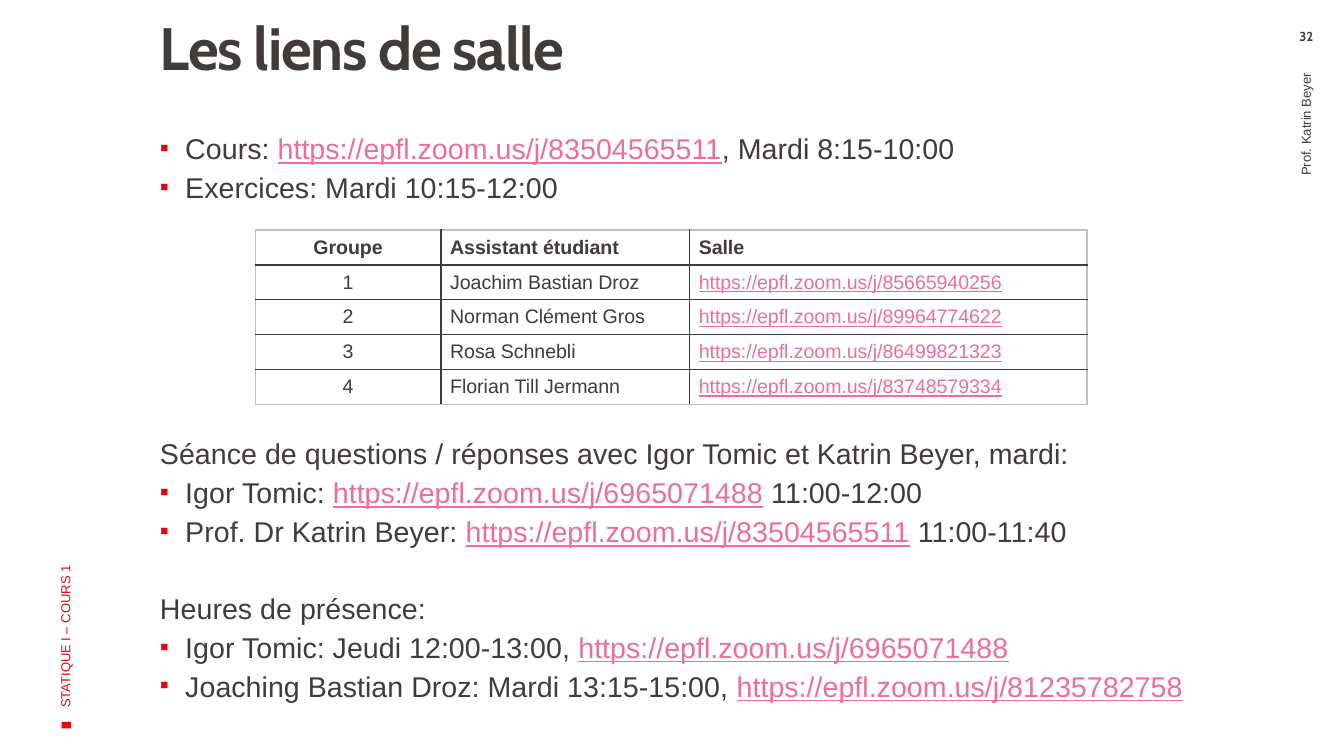
from dataclasses import dataclass

from lxml import etree
from pptx import Presentation, util as u
from pptx.dml.color import RGBColor
from pptx.enum import shapes, text
from pptx.oxml.ns import qn


@dataclass(frozen=True)
class Theme:
    ink: str = "413C3A"
    red: str = "E30613"
    link: str = "ED6E9C"
    rim: str = "BFBFBF"
    sans: str = "Arial"
    head: str = "Cabin"
    title: float = 32
    body: float = 15.3
    cell: float = 10.5
    note: float = 7


T = Theme()
WIDE, HIGH = 100, 56.25  # grid columns and rows
UNIT = u.Inches(10) // WIDE
PITCH, GAP = 20.3, 8  # body line pitch and space before, in points

ITEMS = [  # bulleted, blank lines above, runs
    (True, 0, ["Cours: ", "https://epfl.zoom.us/j/83504565511", ", Mardi 8:15-10:00"]),
    (True, 0, ["Exercices: Mardi 10:15-12:00"]),
    (False, 6, ["Séance de questions / réponses avec Igor Tomic et Katrin Beyer, mardi:"]),
    (True, 0, ["Igor Tomic: ", "https://epfl.zoom.us/j/6965071488", " 11:00-12:00"]),
    (True, 0, ["Prof. Dr Katrin Beyer: ", "https://epfl.zoom.us/j/83504565511", " 11:00-11:40"]),
    (False, 1, ["Heures de présence:"]),
    (True, 0, ["Igor Tomic: Jeudi 12:00-13:00, ", "https://epfl.zoom.us/j/6965071488"]),
    (True, 0, ["Joaching Bastian Droz: Mardi 13:15-15:00, ", "https://epfl.zoom.us/j/81235782758"]),
]

ROWS = [
    ("Groupe", "Assistant étudiant", "Salle"),
    ("1", "Joachim Bastian Droz", "https://epfl.zoom.us/j/85665940256"),
    ("2", "Norman Clément Gros", "https://epfl.zoom.us/j/89964774622"),
    ("3", "Rosa Schnebli", "https://epfl.zoom.us/j/86499821323"),
    ("4", "Florian Till Jermann", "https://epfl.zoom.us/j/83748579334"),
]


def grid(*cells):
    return [round(c * UNIT) for c in cells]


def write(para, words, size, font=T.sans, color=T.ink, bold=False):
    """Add one run; a web address takes the link style."""
    run = para.add_run()
    run.text = words
    link = words.startswith("https")
    run.font.size, run.font.name, run.font.bold = u.Pt(size), font, bold
    run.font.underline = link
    run.font.color.rgb = RGBColor.from_string(T.link if link else color)
    return run


def frame(shape, pads, anchor=text.MSO_ANCHOR.TOP):
    """Set wrapping, insets (left, top, right, bottom) and anchor."""
    tf = shape.text_frame
    tf.word_wrap, tf.auto_size = True, text.MSO_AUTO_SIZE.NONE
    tf.vertical_anchor = anchor
    tf.margin_left, tf.margin_top, tf.margin_right, tf.margin_bottom = grid(*pads)
    return tf


def bullet(para):
    props = para._p.get_or_add_pPr()
    hang = round(1.88 * UNIT)
    props.set("marL", str(hang))
    props.set("indent", str(-hang))
    tint = etree.SubElement(props, qn("a:buClr"))
    etree.SubElement(tint, qn("a:srgbClr"), val=T.red)
    etree.SubElement(props, qn("a:buSzPct"), val="90000")
    etree.SubElement(props, qn("a:buFont"), typeface=T.sans)
    etree.SubElement(props, qn("a:buChar"), char="▪")


def title(slide, box):
    shape = slide.shapes.title
    shape.left, shape.top, shape.width, shape.height = grid(*box)
    para = frame(shape, (2, 0, 0.8, 0.5)).paragraphs[0]
    para.alignment, para.line_spacing = text.PP_ALIGN.LEFT, 0.9
    run = write(para, "Les liens de salle", T.title, T.head, bold=True)
    run._r.get_or_add_rPr().set("spc", "-70")


def body(slide, box):
    tf = frame(slide.shapes.add_textbox(*grid(*box)), (2, 0.75, 1, 0.5))
    for i, (dot, blank, runs) in enumerate(ITEMS):
        para = tf.add_paragraph() if i else tf.paragraphs[0]
        if dot:
            bullet(para)
        para.line_spacing = 0.7
        if i:
            para.space_before = u.Pt(GAP + blank * PITCH)
        for words in runs:
            write(para, words, T.body)


def border(cell, row, col, last):
    """Draw the four edges, paler along the rim of the table."""
    props = cell._tc.get_or_add_tcPr()
    rims = {"L": col == 0, "R": col == last[1], "T": row == 0, "B": row == last[0]}
    for side, rim in rims.items():
        line = etree.SubElement(props, qn(f"a:ln{side}"), w=str(u.Pt(1)))
        fill = etree.SubElement(line, qn("a:solidFill"))
        etree.SubElement(fill, qn("a:srgbClr"), val=T.rim if rim else T.ink)


def rooms(slide, box, shares):
    x, y, w, h = grid(*box)
    table = slide.shapes.add_table(len(ROWS), len(shares), x, y, w, h).table
    table.first_row = table.horz_banding = False
    for col, share in zip(table.columns, shares):
        col.width = round(w * share / sum(shares))
    for r, words in enumerate(ROWS):
        table.rows[r].height = h // len(ROWS)
        for c, word in enumerate(words):
            cell = table.cell(r, c)
            border(cell, r, c, (len(ROWS) - 1, len(shares) - 1))
            cell.fill.background()
            cell.vertical_anchor = text.MSO_ANCHOR.MIDDLE
            cell.margin_left = cell.margin_right = round(0.7 * UNIT)
            cell.margin_top = cell.margin_bottom = 0
            para = cell.text_frame.paragraphs[0]
            para.alignment = text.PP_ALIGN.LEFT if c else text.PP_ALIGN.CENTER
            write(para, word, T.cell, bold=r == 0)


def note(slide, box, words, align, pads, turn=270, **look):
    shape = slide.shapes.add_textbox(*grid(*box))
    shape.rotation = turn
    anchor = text.MSO_ANCHOR.MIDDLE if turn else text.MSO_ANCHOR.TOP
    para = frame(shape, pads, anchor).paragraphs[0]
    para.alignment = align
    write(para, words, T.note, **look)


def mark(slide, box):
    shape = slide.shapes.add_shape(shapes.MSO_SHAPE.RECTANGLE, *grid(*box))
    shape.rotation = 270
    shape.shadow.inherit = False
    shape.fill.solid()
    shape.fill.fore_color.rgb = RGBColor.from_string(T.red)
    shape.line.fill.background()


def main():
    deck = Presentation()
    deck.slide_width, deck.slide_height = grid(WIDE, HIGH)
    slide = deck.slides.add_slide(deck.slide_layouts[5])
    side = text.PP_ALIGN
    mark(slide, (4.7, 53.6, 0.5, 0.7))
    body(slide, (9.9, 9.7, 84.5, 44.4))
    title(slide, (9.9, 1.4, 76.7, 11.7))
    note(slide, (-13.4, 30.4, 36.5, 10), "STATIQUE I – COURS 1", side.LEFT,
         (1, 0.5, 1, 0.5), color=T.red)
    note(slide, (77.8, 20.5, 38.7, 5.6), "Prof. Katrin Beyer", side.RIGHT,
         (1, 0.5, 1.5, 0.5))
    note(slide, (94.4, 2.1, 5.6, 1.8), "32", side.CENTER, (1, 0, 1, 0), turn=0,
         font=T.head, bold=True)
    rooms(slide, (19, 17.1, 61.9, 13), (1.38, 1.85, 2.96))
    deck.save("out.pptx")


if __name__ == "__main__":
    main()
